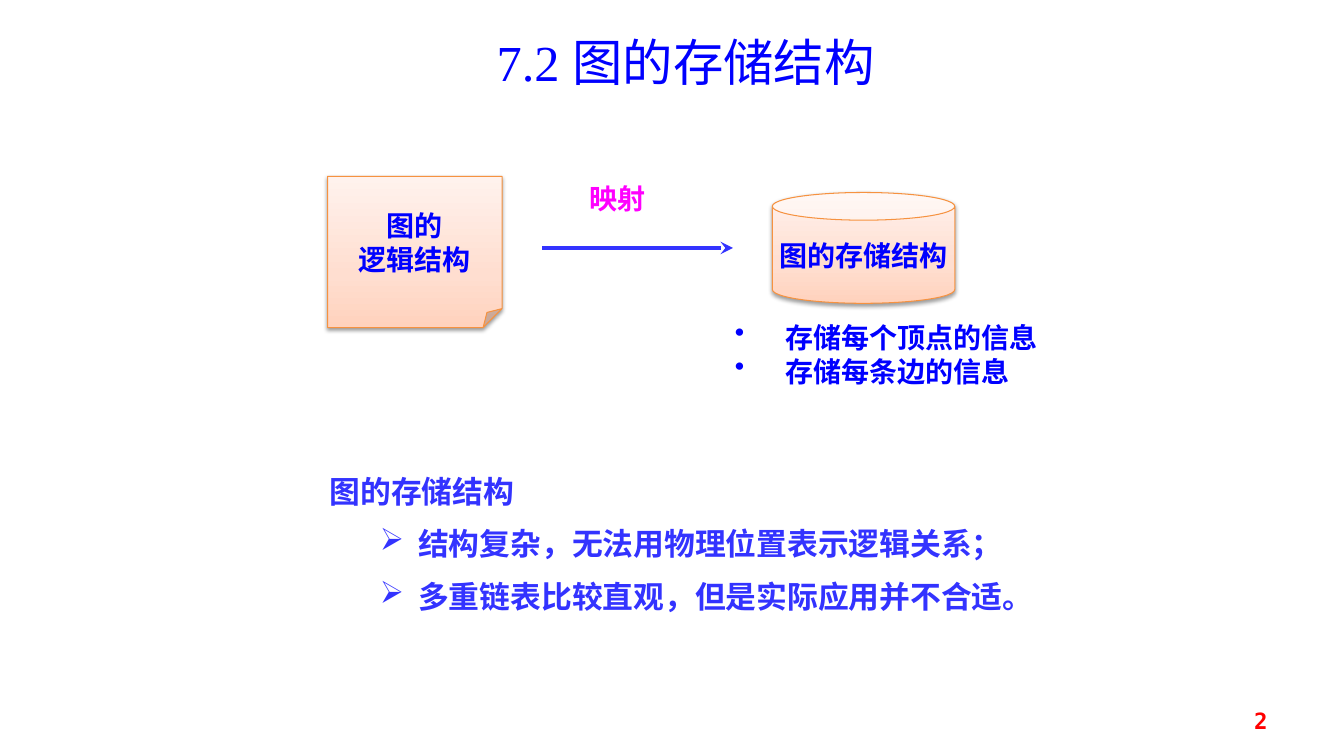
import pptx
import pptx.util
import pptx.dml.color
import pptx.enum.shapes
import pptx.enum.text
import pptx.oxml
import pptx.oxml.ns
from dataclasses import dataclass

Inches = pptx.util.Inches
Align = pptx.enum.text.PP_ALIGN
Anchor = pptx.enum.text.MSO_ANCHOR
Shape = pptx.enum.shapes.MSO_SHAPE
NAMESPACE = pptx.oxml.ns.nsdecls("a")


@dataclass(frozen=True)
class Theme:
    blue: str = "0000FF"
    violet: str = "3333FF"
    magenta: str = "FF00FF"
    red: str = "FF0000"
    orange: str = "F69240"
    shadow: str = "000000"
    gradient: tuple = ((0, "FFD2BD"), (35, "FFDED0"), (100, "FFF2ED"))
    serif: str = "Times New Roman"
    sans: str = "Calibri"
    mono: str = "DejaVu Sans Mono"
    title: int = 36
    body: int = 22
    label: int = 20
    number: int = 16


theme = Theme()


def color(value):
    return pptx.dml.color.RGBColor.from_string(value)


def write(shape, text, size=theme.label, font=theme.serif, ink=theme.blue, bold=True,
          align=Align.LEFT, anchor=Anchor.TOP, wrap=True, bullet=None, first_bullet=0,
          margin=0, hanging=0, level=0, before=0, spacing=None):
    frame = shape.text_frame
    frame.word_wrap = wrap
    frame.vertical_anchor = anchor
    frame.text = text
    for index, para in enumerate(frame.paragraphs):
        para.alignment = align
        if spacing:
            para.line_spacing = spacing
        if index and before:
            para.space_before = pptx.util.Pt(before)
        if bullet and index >= first_bullet:
            para.level = level
            properties = para._p.get_or_add_pPr()
            properties.set("marL", str(Inches(margin)))
            properties.set("indent", str(-Inches(hanging)))
            properties.append(pptx.oxml.parse_xml(f'<a:buChar {NAMESPACE} char="{bullet}"/>'))
        for span in para.runs:
            span.font.size = pptx.util.Pt(size)
            span.font.name = font
            span.font.bold = bold
            span.font.color.rgb = color(ink)


deck = pptx.Presentation()
deck.slide_width = Inches(13.33)
deck.slide_height = Inches(7.5)
page = deck.slides.add_slide(deck.slide_layouts[5])

title = page.shapes.title
title.left, title.top, title.width, title.height = map(Inches, (4.59, 0.26, 4.42, 0.71))
write(title, "7.2 图的存储结构", size=theme.title, bold=False, align=Align.CENTER)

stored_items = page.shapes.add_textbox(Inches(7.19), Inches(3.25), Inches(3.23), Inches(0.69))
write(stored_items, "存储每个顶点的信息\n存储每条边的信息", bullet="•",
      margin=0.5, hanging=0.5, before=10, spacing=0.6)

stops = "".join(f'<a:gs pos="{place * 1000}"><a:srgbClr val="{value}"/></a:gs>'
                for place, value in theme.gradient)
structures = (
    (Shape.FOLDED_CORNER, 3.25, 1.75, 1.73, 1.5, 12500, "图的\n逻辑结构"),
    (Shape.CAN, 7.66, 1.91, 1.81, 1.1, 25000, "图的存储结构"),
)
for kind, left, top, width, height, adjustment, text in structures:
    structure = page.shapes.add_shape(kind, Inches(left), Inches(top), Inches(width), Inches(height))
    structure.line.color.rgb = color(theme.orange)
    structure.line.width = pptx.util.Pt(0.75)
    structure.shadow.inherit = False
    drawing = structure._element.spPr
    geometry = drawing.find(pptx.oxml.ns.qn("a:prstGeom"))
    for guides in list(geometry):
        geometry.remove(guides)
    geometry.append(pptx.oxml.parse_xml(
        f'<a:avLst {NAMESPACE}><a:gd name="adj" fmla="val {adjustment}"/></a:avLst>'))
    geometry.addnext(pptx.oxml.parse_xml(
        f'<a:gradFill {NAMESPACE} rotWithShape="1"><a:gsLst>{stops}</a:gsLst>'
        '<a:lin ang="16200000" scaled="0"/></a:gradFill>'))
    drawing.find(pptx.oxml.ns.qn("a:effectLst")).append(pptx.oxml.parse_xml(
        f'<a:outerShdw {NAMESPACE} blurRad="{pptx.util.Pt(3.1)}" dist="{pptx.util.Pt(1.6)}" '
        f'dir="5400000" rotWithShape="0"><a:srgbClr val="{theme.shadow}">'
        '<a:alpha val="38000"/></a:srgbClr></a:outerShdw>'))
    write(structure, text, font=theme.sans, align=Align.CENTER, anchor=Anchor.MIDDLE, wrap=False)

arrow = page.shapes.add_connector(pptx.enum.shapes.MSO_CONNECTOR.STRAIGHT,
                                  Inches(5.38), Inches(2.46), Inches(7.27), Inches(2.46))
arrow.line.color.rgb = color(theme.violet)
arrow.line.width = pptx.util.Pt(3)
arrow.line._get_or_add_ln().append(pptx.oxml.parse_xml(f'<a:tailEnd {NAMESPACE} type="stealth"/>'))
arrow._element.spPr.append(pptx.oxml.parse_xml(f"<a:effectLst {NAMESPACE}/>"))

mapping = page.shapes.add_textbox(Inches(5.46), Inches(1.75), Inches(1.34), Inches(0.43))
write(mapping, "映射", ink=theme.magenta, align=Align.CENTER)

remarks = page.shapes.add_textbox(Inches(3.17), Inches(4.64), Inches(7.01), Inches(1.58))
write(remarks, "图的存储结构\n结构复杂，无法用物理位置表示逻辑关系；\n多重链表比较直观，但是实际应用并不合适。",
      size=theme.body, ink=theme.violet, bullet="➢", first_bullet=1,
      margin=0.88, hanging=0.38, level=1, before=11)

page_number = page.shapes.add_textbox(Inches(9.56), Inches(6.95), Inches(3.11), Inches(0.4))
write(page_number, "2", size=theme.number, font=theme.mono, ink=theme.red,
      align=Align.RIGHT, anchor=Anchor.MIDDLE)

deck.save("out.pptx")
